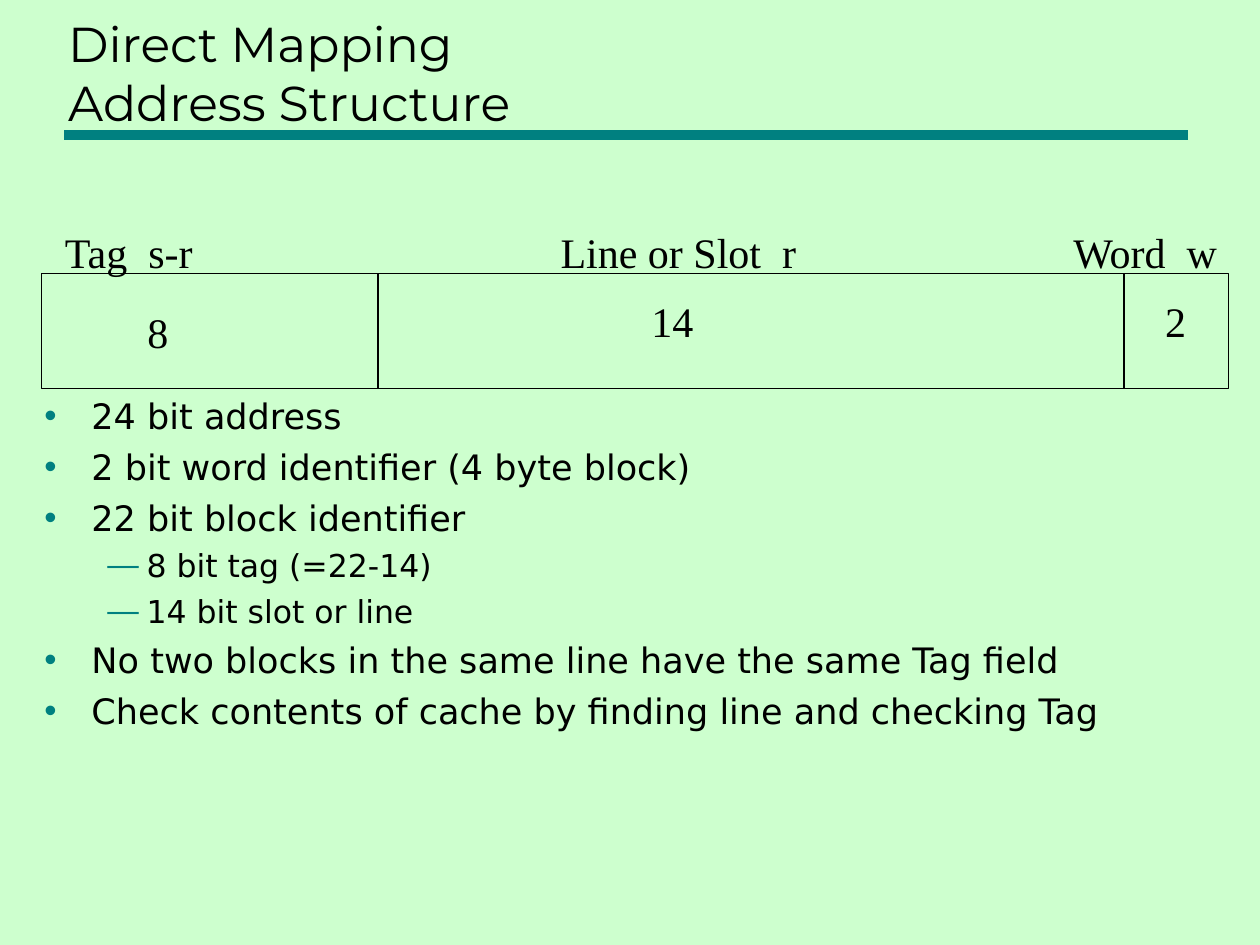
from dataclasses import dataclass

from lxml import etree
from pptx import Presentation
from pptx.dml.color import RGBColor
from pptx.enum.shapes import MSO_CONNECTOR, MSO_SHAPE
from pptx.enum.text import MSO_ANCHOR, MSO_AUTO_SIZE, PP_ALIGN
from pptx.oxml.ns import qn
from pptx.util import Cm, Pt

STRAIGHT = MSO_CONNECTOR.STRAIGHT
RECTANGLE = MSO_SHAPE.RECTANGLE
BOTTOM = MSO_ANCHOR.BOTTOM
NO_FIT, GROW = MSO_AUTO_SIZE.NONE, MSO_AUTO_SIZE.SHAPE_TO_FIT_TEXT
LEFT = PP_ALIGN.LEFT


@dataclass(frozen=True)
class Theme:
    background: RGBColor = RGBColor(0xCD, 0xFF, 0xCE)
    accent: RGBColor = RGBColor(0x00, 0x80, 0x80)
    ink: RGBColor = RGBColor(0, 0, 0)
    title_font: str = "Montserrat"
    body_font: str = "DejaVu Sans"
    field_font: str = "Times New Roman"
    title_size: int = 28
    field_size: int = 24
    body_sizes: tuple = (20, 18)


theme = Theme()


def add_run(p, text, font, size):
    r = p.add_run()
    r.text = text
    r.font.name, r.font.size = font, Pt(size)
    r.font.color.rgb = theme.ink


def add_line(s, x1, y1, x2, y2, color, width):
    line = s.shapes.add_connector(STRAIGHT, Cm(x1), Cm(y1), Cm(x2), Cm(y2))
    line.line.color.rgb, line.line.width = color, Pt(width)
    etree.SubElement(line._element.spPr, qn("a:effectLst"))


prs = Presentation()
prs.slide_width, prs.slide_height = Cm(25.4), Cm(19.05)
s = prs.slides.add_slide(prs.slide_layouts[1])
s.background.fill.solid()
s.background.fill.fore_color.rgb = theme.background

# Title and the rule under it
add_line(s, 1.3, 2.72, 23.95, 2.72, theme.accent, 6)
title = s.shapes.title
title.left, title.top, title.width, title.height = Cm(1.12), Cm(0.43), Cm(22.78), Cm(2.34)
tf = title.text_frame
tf.vertical_anchor, tf.auto_size = BOTTOM, NO_FIT
p = tf.paragraphs[0]
p.alignment = LEFT
add_run(p, "Direct Mapping", theme.title_font, theme.title_size)
p.add_line_break()
add_run(p, "Address Structure", theme.title_font, theme.title_size)

# Address word, split into three fields
bar_left, bar_top, bar_width, bar_height = 0.84, 5.51, 23.93, 2.33
bar = s.shapes.add_shape(RECTANGLE, Cm(bar_left), Cm(bar_top), Cm(bar_width), Cm(bar_height))
bar.shadow.inherit = False
bar.fill.background()
bar.line.color.rgb, bar.line.width = theme.ink, Pt(0.75)
for x in (7.62, 22.66):
    add_line(s, x, bar_top, x, bar_top + bar_height, theme.ink, 0.75)

field_texts = [  # text, left, top, width
    ("Tag  s-r", 1.06, 4.45, 3.12),
    ("Line or Slot  r", 11.05, 4.45, 5.26),
    ("Word  w", 21.39, 4.45, 3.45),
    ("8", 2.72, 6.05, 0.91),
    ("14", 12.88, 5.84, 1.35),
    ("2", 23.24, 5.84, 0.91),
]
for text, left, top, width in field_texts:
    tf = s.shapes.add_textbox(Cm(left), Cm(top), Cm(width), Cm(1.27)).text_frame
    tf.word_wrap, tf.auto_size = False, GROW
    add_run(tf.paragraphs[0], text, theme.field_font, theme.field_size)

# Bullet list
levels = [  # bullet, left margin, hanging indent, space before
    ("•", 0.95, 0.95, 5),
    ("—", 2.06, 0.79, 4.5),
]
points = [
    (0, "24 bit address"),
    (0, "2 bit word identifier (4 byte block)"),
    (0, "22 bit block identifier"),
    (1, "8 bit tag (=22-14)"),
    (1, "14 bit slot or line"),
    (0, "No two blocks in the same line have the same Tag field"),
    (0, "Check contents of cache by finding line and checking Tag"),
]
body = s.placeholders[1]
body.left, body.top, body.width, body.height = Cm(0.64), Cm(7.83), Cm(23.34), Cm(8.99)
tf = body.text_frame
tf.auto_size = NO_FIT
for i, (level, text) in enumerate(points):
    bullet, margin, hanging, space = levels[level]
    p = tf.paragraphs[0] if i == 0 else tf.add_paragraph()
    p.level, p.space_before = level, Pt(space)
    pPr = p._p.get_or_add_pPr()
    pPr.set("marL", str(Cm(margin)))
    pPr.set("indent", str(-Cm(hanging)))
    bullet_color = etree.SubElement(pPr, qn("a:buClr"))
    etree.SubElement(bullet_color, qn("a:srgbClr"), val=str(theme.accent))
    etree.SubElement(pPr, qn("a:buChar"), char=bullet)
    add_run(p, text, theme.body_font, theme.body_sizes[level])

prs.save("out.pptx")
